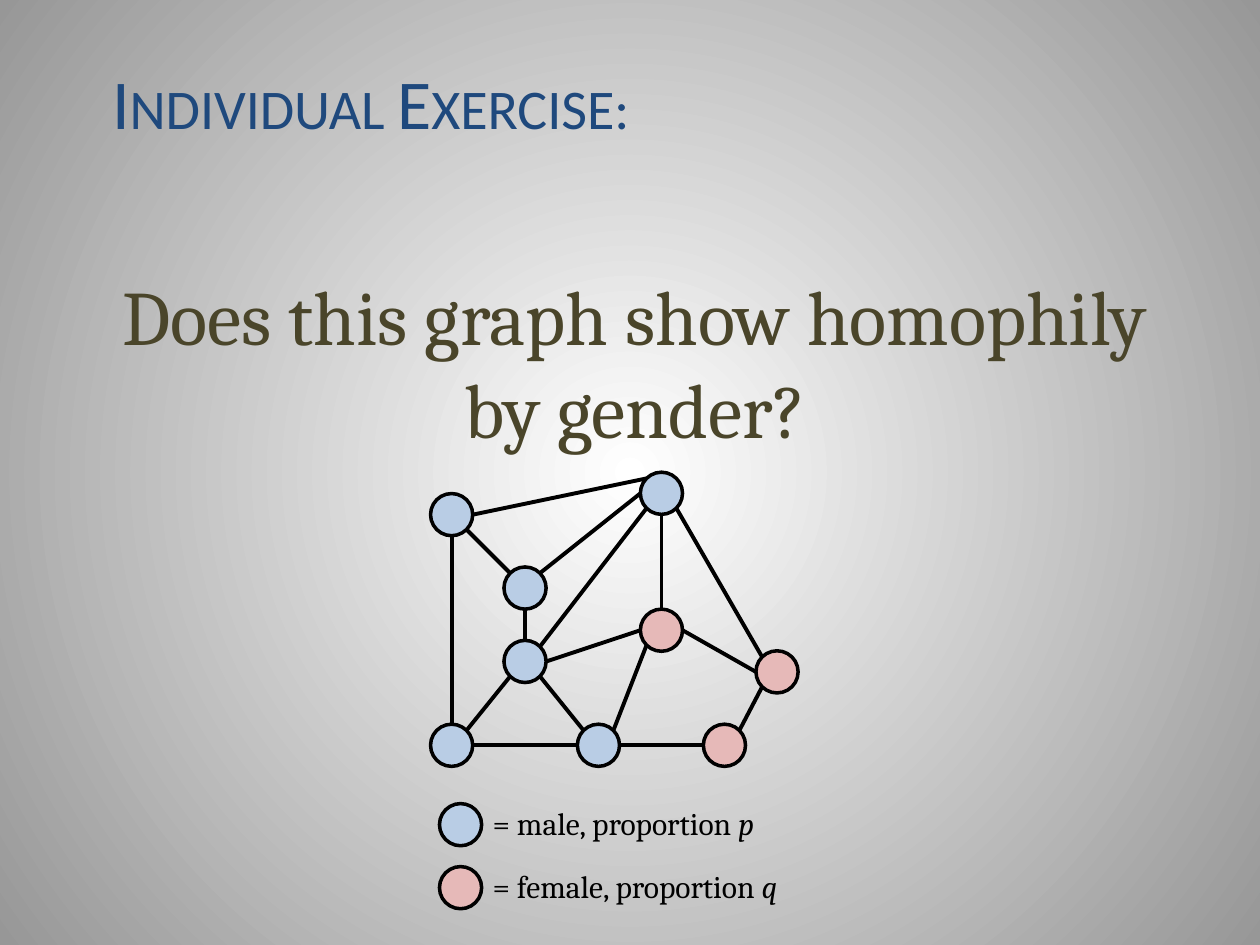
"""Build the slide on homophily by gender with its graph and legend."""
import math

from lxml import etree
from pptx import Presentation, util as u
from pptx.dml.color import RGBColor
from pptx.enum import shapes, text
from pptx.oxml.ns import qn

NAVY = RGBColor(0x1F, 0x49, 0x7D)
OLIVE = RGBColor(0x4A, 0x45, 0x2A)
BLACK = RGBColor(0, 0, 0)
WHITE = RGBColor(0xFF, 0xFF, 0xFF)
GREY = RGBColor(0x97, 0x97, 0x97)
BLUE = RGBColor(0xB9, 0xCD, 0xE5)
PINK = RGBColor(0xE6, 0xB9, 0xB8)

SIZE = 0.85
NODES = {
    "A": (8.68, 9.95, BLUE),
    "B": (12.91, 9.52, BLUE),
    "C": (10.16, 11.43, BLUE),
    "D": (10.16, 12.91, BLUE),
    "E": (12.91, 12.28, PINK),
    "F": (15.24, 13.12, PINK),
    "G": (8.68, 14.6, BLUE),
    "H": (11.64, 14.6, BLUE),
    "I": (14.18, 14.6, PINK),
}
SIDES = ["n", "nw", "w", "sw", "s", "se", "e", "ne"]
EDGES = [
    ("G", "e", "H", "w"), ("C", "ne", "B", "w"),
    ("B", "nw", "A", "e"), ("C", "nw", "A", "se"),
    ("G", "ne", "D", "sw"), ("G", "n", "A", "s"),
    ("D", "n", "C", "s"), ("H", "e", "I", "w"),
    ("I", "ne", "F", "sw"), ("H", "ne", "E", "sw"),
    ("D", "se", "H", "nw"), ("D", "ne", "B", "sw"),
    ("B", "se", "F", "nw"), ("E", "e", "F", "w"),
    ("D", "e", "E", "w"), ("E", "n", "B", "s"),
]
LEGEND = [("male", "p", BLUE, 6.1), ("female", "q", PINK, 6.63)]


def shade(slide):
    """Fill the background with a radial gradient."""
    fill = slide.background.fill
    fill.gradient()
    for stop, tone in zip(fill.gradient_stops, (WHITE, GREY)):
        stop.color.rgb = tone
    line = slide.element.find(".//" + qn("a:lin"))
    ring = etree.Element(qn("a:path"), {"path": "circle"})
    sides = dict.fromkeys("ltrb", "50000")
    etree.SubElement(ring, qn("a:fillToRect"), sides)
    line.getparent().replace(line, ring)


def write(parts, box, words, size, font, tone, wrap=True, caps=False,
          align=None, anchor=text.MSO_ANCHOR.TOP, gap=0, slant=""):
    """Add a text box, with an optional italic ending."""
    frame = parts.add_textbox(*map(u.Cm, box)).text_frame
    frame.word_wrap = wrap
    frame.vertical_anchor = anchor
    para = frame.paragraphs[0]
    para.alignment = align
    para.space_before = u.Pt(gap)
    for part in filter(None, (words, slant)):
        run = para.add_run()
        run.text = part
        run.font.size = u.Pt(size)
        run.font.name = font
        run.font.color.rgb = tone
        if part == slant:
            run.font.italic = True
        if caps:
            run._r.get_or_add_rPr().set("cap", "small")


def dot(parts, left, top, tone):
    """Add one round node."""
    box = map(u.Cm, (left, top, SIZE, SIZE))
    node = parts.add_shape(shapes.MSO_SHAPE.OVAL, *box)
    node.shadow.inherit = False
    node.fill.solid()
    node.fill.fore_color.rgb = tone
    node.line.color.rgb = BLACK
    node.line.width = u.Pt(2)


def rim(name, side):
    """Return the point on a node's rim that faces the given side."""
    left, top, _ = NODES[name]
    turn = math.radians(90 + 45 * SIDES.index(side))
    half = SIZE / 2
    return (u.Cm(left + half + half * math.cos(turn)),
            u.Cm(top + half - half * math.sin(turn)))


def link(parts, start, out, end, into):
    """Join two nodes with a straight line."""
    line = parts.add_connector(shapes.MSO_CONNECTOR.STRAIGHT,
                               *rim(start, out), *rim(end, into))
    line.line.color.rgb = BLACK
    line.line.width = u.Pt(2.25)
    etree.SubElement(line._element.spPr, qn("a:effectLst"))


def graph(slide):
    """Draw the graph as one group."""
    parts = slide.shapes.add_group_shape().shapes
    for node in NODES.values():
        dot(parts, *node)
    for edge in EDGES:
        link(parts, *edge)


def legend(slide):
    """Draw the colour key as one group."""
    parts = slide.shapes.add_group_shape().shapes
    for row, (word, sign, tone, width) in enumerate(LEGEND):
        top = 16.08 + 1.27 * row
        dot(parts, 8.86, top + 0.12, tone)
        write(parts, (9.68, top, width, 1.02), f"= {word}, proportion ",
              18, "Cambria", BLACK, wrap=False, slant=sign)


def main():
    """Build and save the slide."""
    deck = Presentation()
    deck.slide_width, deck.slide_height = u.Cm(25.4), u.Cm(19.05)
    slide = deck.slides.add_slide(deck.slide_layouts[6])
    shade(slide)
    write(slide.shapes, (2.01, 1.07, 21.59, 3.78), "Individual Exercise:",
          40, "Calibri", NAVY, caps=True)
    write(slide.shapes, (2.01, 5.28, 21.59, 4.01),
          "Does this graph show homophily by gender?", 44, "Cambria", OLIVE,
          align=text.PP_ALIGN.CENTER, anchor=text.MSO_ANCHOR.MIDDLE, gap=9)
    graph(slide)
    legend(slide)
    deck.save("out.pptx")


if __name__ == "__main__":
    main()
